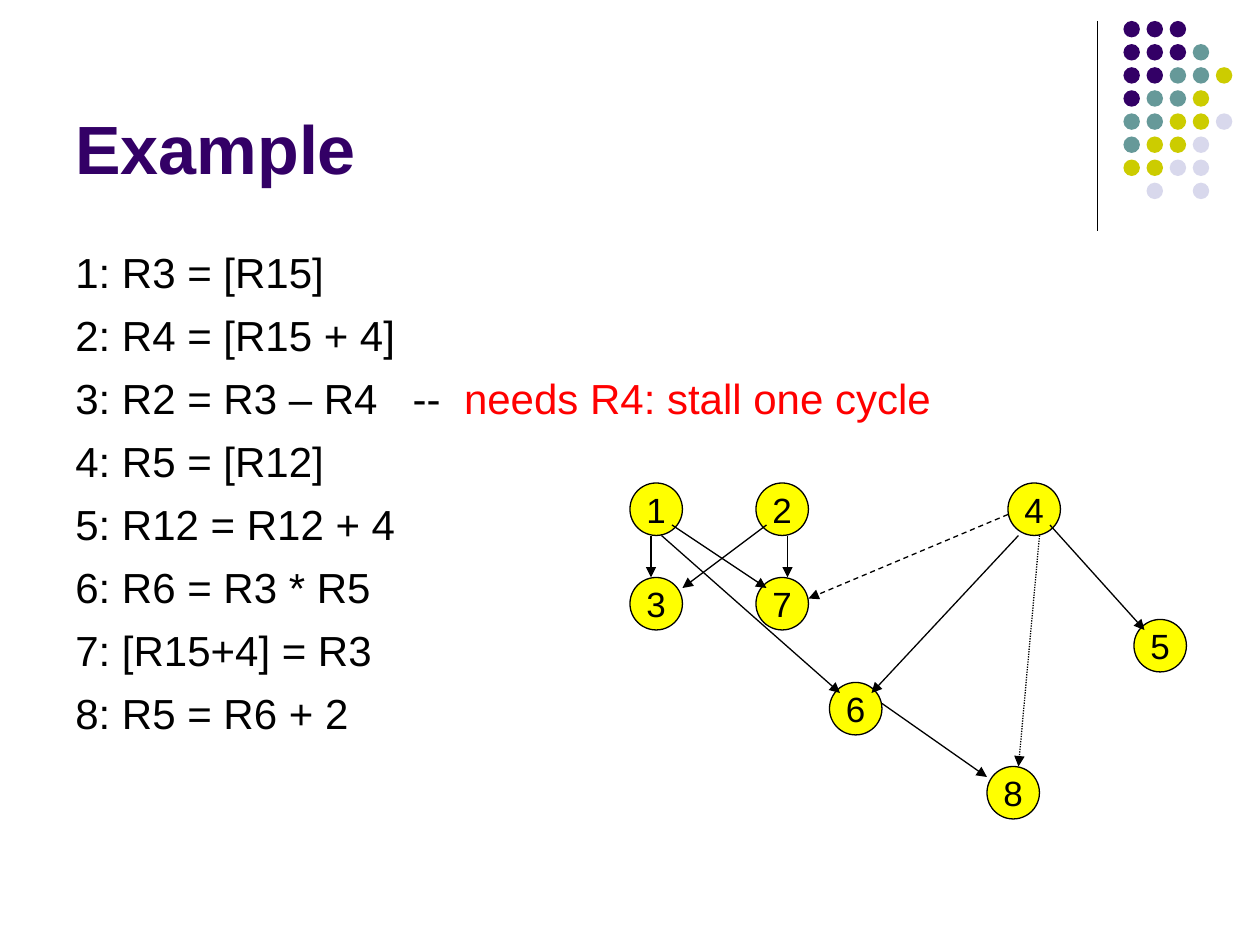
"""Build the instruction dependency graph example slide."""
from typing import NamedTuple, Optional

from lxml.etree import SubElement
from pptx import Presentation
from pptx.dml.color import RGBColor
from pptx.enum.dml import MSO_LINE
from pptx.enum.shapes import MSO_CONNECTOR, MSO_SHAPE
from pptx.enum.text import MSO_ANCHOR, PP_ALIGN
from pptx.oxml.ns import qn
from pptx.util import Pt

BLACK = RGBColor(0x00, 0x00, 0x00)
RED = RGBColor(0xFF, 0x00, 0x00)
YELLOW = RGBColor(0xFF, 0xFF, 0x00)
PURPLE = RGBColor(0x33, 0x00, 0x66)
TEAL = RGBColor(0x66, 0x99, 0x99)
OLIVE = RGBColor(0xCC, 0xCC, 0x00)
LAVENDER = RGBColor(0xD8, 0xD8, 0xEC)

FONT = "Arial"
LINE_WIDTH = 0.75
NODE_SIZE = 30
DOT_SIZE = 9.4
DOT_STEP = 13.2
DOT_LEFT, DOT_TOP = 642, 12
DOT_COLORS = {"P": PURPLE, "T": TEAL, "O": OLIVE, "L": LAVENDER}
DOT_ROWS = ["PPP", "PPPT", "PPTTO", "PTTO", "TTOOL", "TOOL", "OOLL", " L L"]


class Node(NamedTuple):
    """An instruction circle, placed by its top left corner."""
    label: str
    left: float
    top: float


class Edge(NamedTuple):
    """A dependency arrow between two points."""
    start: tuple[float, float]
    end: tuple[float, float]
    dash: Optional[MSO_LINE] = None


class Instruction(NamedTuple):
    """A code line with an optional red remark."""
    code: str
    remark: str = ""


INSTRUCTIONS = [
    Instruction("1: R3 = [R15]"),
    Instruction("2: R4 = [R15 + 4]"),
    Instruction("3: R2 = R3 – R4   --  ", "needs R4: stall one cycle"),
    Instruction("4: R5 = [R12]"),
    Instruction("5: R12 = R12 + 4"),
    Instruction("6: R6 = R3 * R5"),
    Instruction("7: [R15+4] = R3"),
    Instruction("8: R5 = R6 + 2"),
]

NODES = [
    Node("1", 360, 276), Node("2", 432, 276), Node("3", 360, 330),
    Node("6", 474, 390), Node("8", 564, 438), Node("5", 648, 354),
    Node("4", 576, 276), Node("7", 432, 330),
]

EDGES = [
    Edge((372, 306), (372, 330)),
    Edge((450, 306), (450, 330)),
    Edge((438, 300), (390, 336)),
    Edge((384, 300), (438, 336)),
    Edge((576, 294), (462, 342), MSO_LINE.DASH),
    Edge((378, 306), (480, 396)),
    Edge((594, 306), (582, 438), MSO_LINE.ROUND_DOT),
    Edge((600, 300), (654, 360)),
    Edge((504, 402), (564, 444)),
    Edge((582, 306), (498, 396)),
]


def set_font(font, size: float, color: RGBColor, bold: bool = False) -> None:
    """Apply the slide's typeface with a size and colour."""
    font.name, font.size, font.bold = FONT, Pt(size), bold
    font.color.rgb = color


def add_circle(slide, left: float, top: float, size: float, fill: RGBColor):
    """Add a filled circle without outline or shadow."""
    shape = slide.shapes.add_shape(
        MSO_SHAPE.OVAL, Pt(left), Pt(top), Pt(size), Pt(size))
    shape.shadow.inherit = False
    shape.fill.solid()
    shape.fill.fore_color.rgb = fill
    shape.line.fill.background()
    return shape


def add_line(slide, edge: Edge):
    """Add a thin black line with the edge's dash style."""
    connector = slide.shapes.add_connector(
        MSO_CONNECTOR.STRAIGHT, *map(Pt, edge.start + edge.end))
    connector.line.color.rgb = BLACK
    connector.line.width = Pt(LINE_WIDTH)
    if edge.dash is not None:
        connector.line.dash_style = edge.dash
    SubElement(connector._element.spPr, qn("a:effectLst"))
    return connector


def add_arrow(slide, edge: Edge) -> None:
    """Add a line with a triangle at its end."""
    connector = add_line(slide, edge)
    SubElement(connector.line._get_or_add_ln(), qn("a:tailEnd"), type="triangle")


def add_dots(slide) -> None:
    """Draw the decorative dot grid in the corner."""
    for row, letters in enumerate(DOT_ROWS):
        for column, letter in enumerate(letters):
            if letter in DOT_COLORS:
                add_circle(slide, DOT_LEFT + column * DOT_STEP,
                           DOT_TOP + row * DOT_STEP, DOT_SIZE, DOT_COLORS[letter])


def add_node(slide, node: Node) -> None:
    """Draw a numbered instruction circle."""
    shape = add_circle(slide, node.left, node.top, NODE_SIZE, YELLOW)
    shape.line.color.rgb = BLACK
    shape.line.width = Pt(LINE_WIDTH)
    frame = shape.text_frame
    frame.word_wrap = False
    frame.vertical_anchor = MSO_ANCHOR.MIDDLE
    paragraph = frame.paragraphs[0]
    paragraph.text = node.label
    paragraph.alignment = PP_ALIGN.CENTER
    set_font(paragraph.font, 20, BLACK)


def add_title(slide, text: str) -> None:
    """Add the bottom-anchored slide title."""
    frame = slide.shapes.add_textbox(Pt(36), Pt(9), Pt(594), Pt(102)).text_frame
    frame.word_wrap = True
    frame.vertical_anchor = MSO_ANCHOR.BOTTOM
    paragraph = frame.paragraphs[0]
    paragraph.text = text
    set_font(paragraph.font, 39, PURPLE, bold=True)


def add_instructions(slide, instructions: list[Instruction]) -> None:
    """Add the code listing with its remark."""
    frame = slide.shapes.add_textbox(Pt(36), Pt(135), Pt(648), Pt(347)).text_frame
    frame.word_wrap = True
    frame.margin_top = Pt(6)
    for index, instruction in enumerate(instructions):
        paragraph = frame.add_paragraph() if index else frame.paragraphs[0]
        if index:
            paragraph.space_before = Pt(7.2)
        paragraph.add_run().text = instruction.code
        set_font(paragraph.font, 24, BLACK)
        if instruction.remark:
            run = paragraph.add_run()
            run.text = instruction.remark
            run.font.color.rgb = RED


def main() -> None:
    """Create the presentation and save it."""
    presentation = Presentation()
    presentation.slide_width, presentation.slide_height = Pt(720), Pt(540)
    slide = presentation.slides.add_slide(presentation.slide_layouts[6])
    add_line(slide, Edge((627, 12), (627, 132)))
    add_dots(slide)
    add_title(slide, "Example")
    add_instructions(slide, INSTRUCTIONS)
    for node in NODES:
        add_node(slide, node)
    for edge in EDGES:
        add_arrow(slide, edge)
    presentation.save("out.pptx")


if __name__ == "__main__":
    main()
